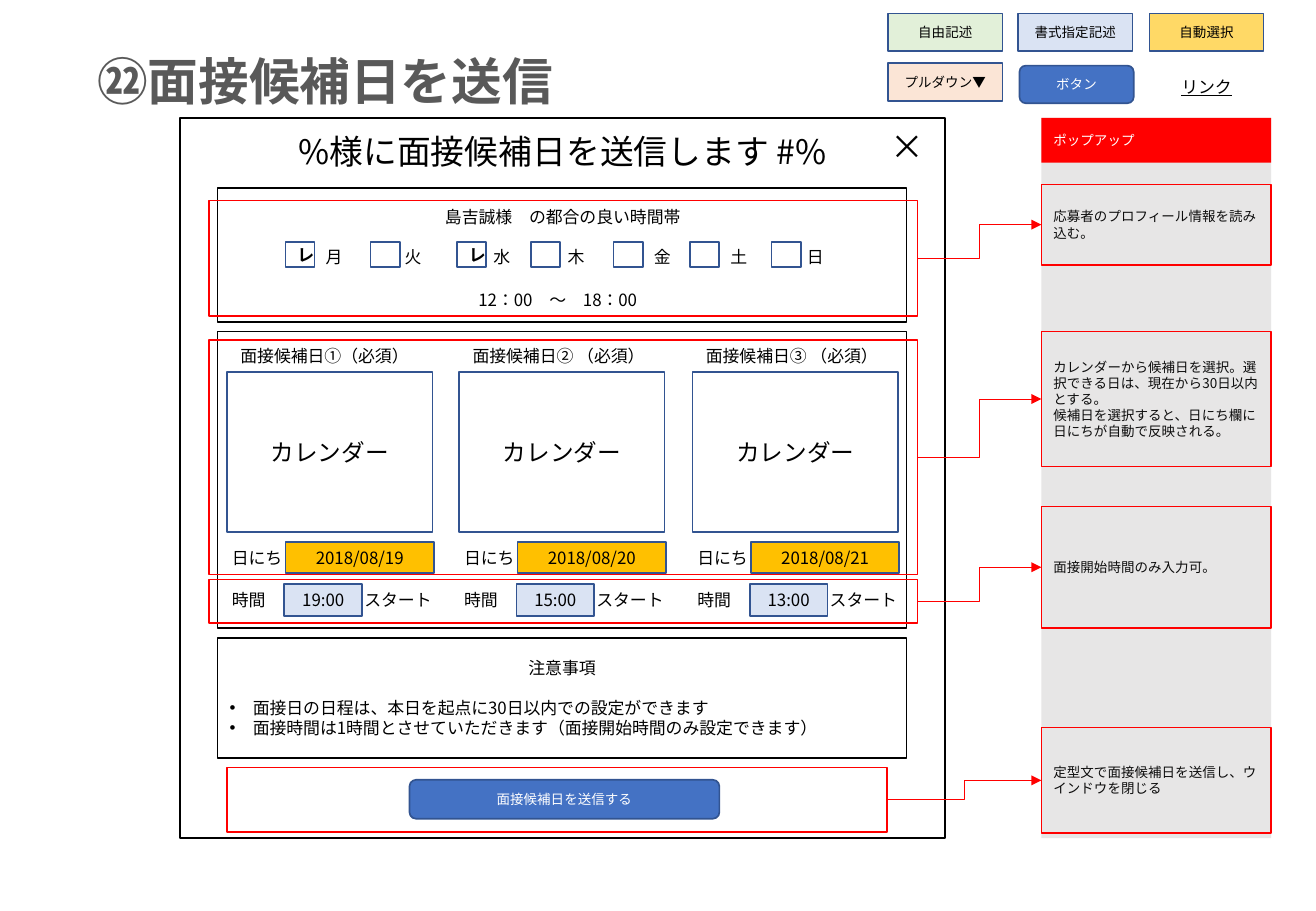
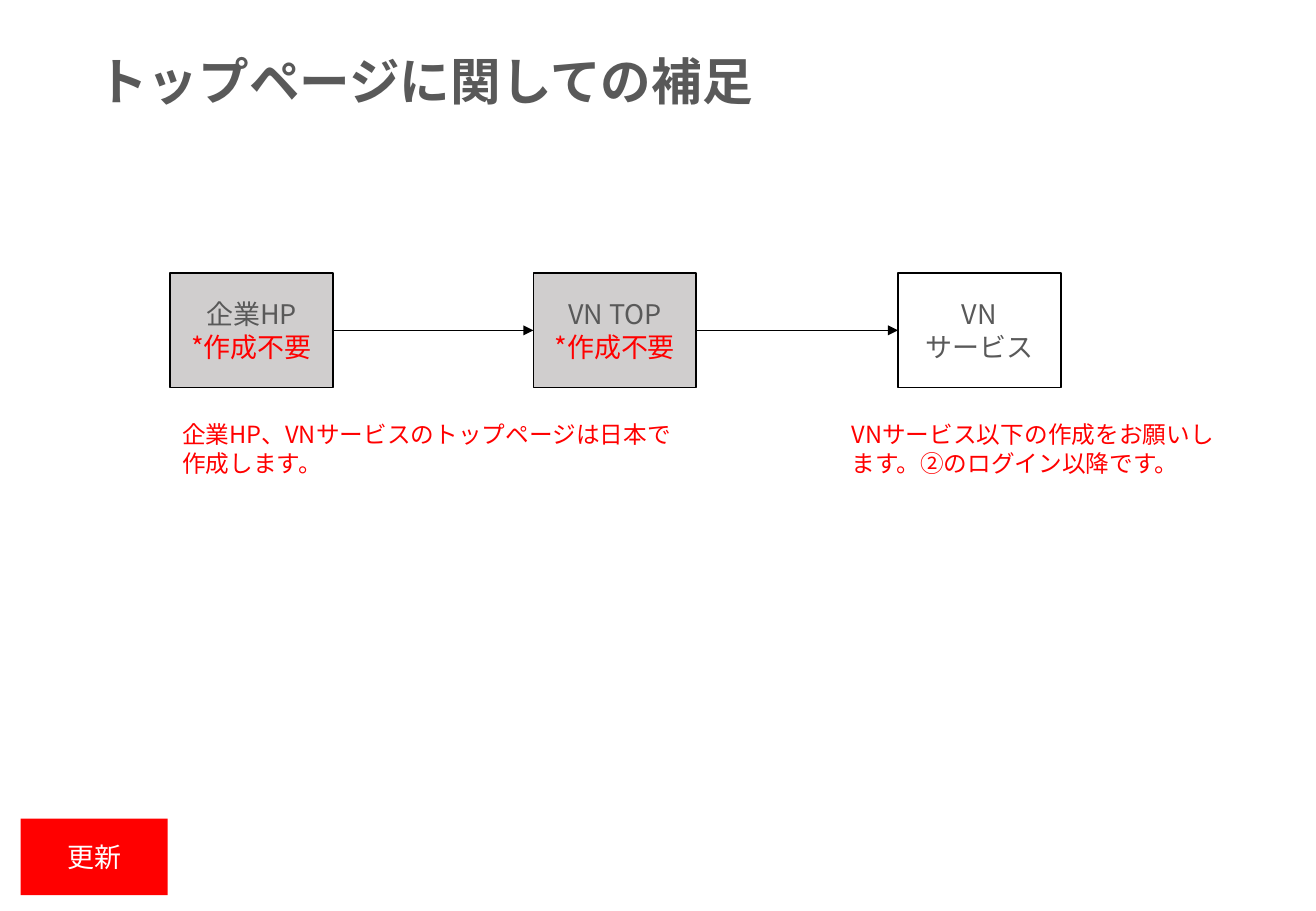
import collections

import pptx
import pptx.dml.color
import pptx.enum.lang
import pptx.enum.shapes
import pptx.enum.text
import pptx.oxml.ns
import pptx.util

FONT = "Noto Sans CJK JP"
PX = pptx.util.Inches(1) // 100
COLORS = {
    "heading": "595959", "black": "000000", "note": "0D0D0D", "white": "FFFFFF",
    "red": "FF0000", "navy": "325491", "blue": "4472C4", "pale_blue": "DAE3F3",
    "green": "E2F0D9", "peach": "FBE5D6", "yellow": "FFD966", "amber": "FFC000",
    "panel": "E7E6E6", "grey": "D0CECE",
}
ALIGN = pptx.enum.text.PP_ALIGN
ANCHOR = pptx.enum.text.MSO_ANCHOR
SHAPE = pptx.enum.shapes.MSO_SHAPE
CONNECTOR = pptx.enum.shapes.MSO_CONNECTOR
qn = pptx.oxml.ns.qn


class Box(collections.namedtuple("Box", "x y w h")):
    def inner(self, dx, dy, w, h):
        """Box of the given size, offset from this box's top left corner."""
        return Box(self.x + dx, self.y + dy, w, h)

    def emu(self):
        return [pptx.util.Emu(length * PX) for length in self]


def rgb(name):
    return pptx.dml.color.RGBColor.from_string(COLORS[name])


def child(parent, tag, **attributes):
    element = parent.makeelement(qn(tag), attributes)
    parent.append(element)
    return element


def write(shape, lines, size, color="black", align=ALIGN.CENTER,
          anchor=ANCHOR.MIDDLE, bold=False, underline=None):
    """Fill a shape with lines, each a text or a (text, color) pair."""
    frame = shape.text_frame
    frame.word_wrap = True
    frame.auto_size = pptx.enum.text.MSO_AUTO_SIZE.NONE
    frame.vertical_anchor = anchor
    for index, line in enumerate(lines):
        text, tint = line if isinstance(line, tuple) else (line, color)
        paragraph = frame.paragraphs[0] if index == 0 else frame.add_paragraph()
        paragraph.alignment = align
        paragraph.line_spacing = pptx.util.Pt(size * 1.2)
        paragraph.space_before = pptx.util.Pt(0)
        run = paragraph.add_run()
        run.text = text
        font = run.font
        font.size = pptx.util.Pt(size)
        font.bold = bold
        font.underline = underline
        font.color.rgb = rgb(tint)
        font.name = FONT
        font.language_id = pptx.enum.lang.MSO_LANGUAGE_ID.JAPANESE
        child(run.font._element, "a:ea", typeface=FONT)
    return frame.paragraphs


def add_box(slide, box, fill=None, line=None, kind=SHAPE.RECTANGLE):
    shape = slide.shapes.add_shape(kind, *box.emu())
    shape.shadow.inherit = False
    if fill:
        shape.fill.solid()
        shape.fill.fore_color.rgb = rgb(fill)
    else:
        shape.fill.background()
    if line:
        shape.line.color.rgb = rgb(line)
        shape.line.width = pptx.util.Pt(1)
    else:
        shape.line.fill.background()
    return shape


def add_label(slide, box, text, size=10, color="black", align=ALIGN.LEFT,
              anchor=ANCHOR.TOP, underline=None):
    write(slide.shapes.add_textbox(*box.emu()), [text], size, color, align,
          anchor, underline=underline)


def add_field(slide, box, text, fill=None, size=10, bold=False):
    write(add_box(slide, box, fill, "navy"), [text], size, bold=bold)


def add_button(slide, box, text):
    button = add_box(slide, box, "blue", "navy", SHAPE.ROUNDED_RECTANGLE)
    write(button, [text], 8, "white")


def add_arrow(slide, source, target, color, kind):
    """Arrow from the right side of source to the left side of target."""
    arrow = slide.shapes.add_connector(kind, 0, 0, 0, 0)
    arrow.begin_connect(source, 3)
    arrow.end_connect(target, 1)
    arrow.line.color.rgb = rgb(color)
    arrow.line.width = pptx.util.Pt(0.5)
    properties = arrow._element.spPr
    child(properties.find(qn("a:ln")), "a:tailEnd", type="triangle")
    child(properties, "a:effectLst")


def place(shape, box):
    shape.left, shape.top, shape.width, shape.height = box.emu()


def add_titled_slide(deck, layout, title):
    slide = deck.slides.add_slide(deck.slide_layouts[layout])
    place(slide.shapes.title, Box(70, 36, 939, 61))
    write(slide.shapes.title, [title], 30, "heading", ALIGN.LEFT, ANCHOR.TOP, True)
    return slide


def add_legend(slide, box):
    fields = [("自由記述", "green", 0, 0), ("書式指定記述", "pale_blue", 1, 0),
              ("自動選択", "yellow", 2, 0), ("プルダウン▼", "peach", 0, 1)]
    for text, fill, column, row in fields:
        add_field(slide, box.inner(column * 215 // 2, row * 41, 94, 31), text, fill, 8)
    add_button(slide, box.inner(108, 43, 94, 31), "ボタン")
    add_label(slide, box.inner(215, 47, 94, 27), "リンク",
              align=ALIGN.CENTER, underline=True)


def add_availability(slide, box):
    add_box(slide, box, line="black")
    add_label(slide, box.inner(48, 10, 472, 27), "島吉誠様　の都合の良い時間帯",
              align=ALIGN.CENTER)
    days = [("月", 56, 69, True), ("火", 126, 134, False), ("水", 197, 207, True),
            ("木", 258, 268, False), ("金", 326, 339, False),
            ("土", 389, 402, False), ("日", 456, 465, False)]
    for day, check_x, day_x, checked in days:
        check = add_box(slide, box.inner(check_x, 44, 24, 21), line="navy")
        if checked:
            write(check, ["レ"], 10, bold=True)
        add_label(slide, box.inner(day_x, 43, 54, 27), day, align=ALIGN.CENTER)
    add_label(slide, box.inner(170, 76, 220, 31), "12：00　～　18：00",
              align=ALIGN.CENTER, anchor=ANCHOR.MIDDLE)


def add_candidate(slide, box, heading, date, time):
    add_label(slide, box.inner(1, 0, 169, 27), heading)
    add_field(slide, box.inner(0, 26, 169, 132), "カレンダー", size=14)
    add_label(slide, box.inner(-6, 166, 95, 27), "日にち")
    add_field(slide, box.inner(48, 166, 122, 26), date, "amber")
    add_label(slide, box.inner(-6, 201, 62, 27), "時間")
    add_field(slide, box.inner(47, 201, 64, 26), time, "pale_blue")
    add_label(slide, box.inner(103, 201, 87, 27), "スタート")


def add_candidates(slide, box):
    add_box(slide, box, line="black")
    candidates = [("面接候補日①（必須）", "2018/08/19", "19:00"),
                  ("面接候補日② （必須）", "2018/08/20", "15:00"),
                  ("面接候補日③ （必須）", "2018/08/21", "13:00")]
    for index, candidate in enumerate(candidates):
        add_candidate(slide, box.inner(8 + index * 383 // 2, 7, 169, 227), *candidate)


def fill_cautions(slide, box):
    cautions = slide.placeholders[1]
    place(cautions, box)
    cautions.line.color.rgb = rgb("black")
    cautions.line.width = pptx.util.Pt(1)
    heading, *rules = write(cautions, [
        "注意事項",
        "面接日の日程は、本日を起点に30日以内での設定ができます",
        "面接時間は1時間とさせていただきます（面接開始時間のみ設定できます）",
    ], 10, align=ALIGN.LEFT)
    heading.alignment = ALIGN.CENTER
    rules[0].space_before = pptx.util.Pt(12)
    for paragraph in (heading, *rules):
        indent = 0 if paragraph is heading else 19 * PX
        properties = paragraph._p.get_or_add_pPr()
        properties.set("marL", str(indent))
        properties.set("indent", str(-indent))
        if indent:
            child(properties, "a:buFont", typeface="Arial")
            child(properties, "a:buChar", char="•")
        else:
            child(properties, "a:buNone")


def add_window(slide, box):
    add_box(slide, box, line="black")
    add_label(slide, box.inner(0, 6, 630, 44), "%様に面接候補日を送信します #%", 20,
              align=ALIGN.CENTER)
    add_label(slide, box.inner(567, 2, 63, 44), "×", 20, align=ALIGN.CENTER)
    add_availability(slide, box.inner(31, 58, 567, 110))
    add_candidates(slide, box.inner(31, 176, 567, 244))
    fill_cautions(slide, box.inner(31, 428, 567, 99))
    add_button(slide, box.inner(189, 545, 255, 32), "面接候補日を送信する")


def add_callouts(slide, window, panel):
    """Side panel of notes, each linked to a framed part of the window."""
    add_box(slide, panel, "panel")
    write(add_box(slide, panel.inner(0, 0, panel.w, 37), "red"), ["ポップアップ"], 8,
          "white", ALIGN.LEFT)
    callouts = [
        ((24, 68, 583, 95), (55, 66), ["応募者のプロフィール情報を読み込む。"]),
        ((24, 183, 583, 193), (176, 111),
         ["カレンダーから候補日を選択。選択できる日は、現在から30日以内とする。",
          "候補日を選択すると、日にち欄に日にちが自動で反映される。"]),
        ((24, 380, 583, 36), (320, 100), ["面接開始時間のみ入力可。"]),
        ((39, 535, 543, 53), (502, 87),
         ["定型文で面接候補日を送信し、ウインドウを閉じる"]),
    ]
    for framed, (top, height), lines in callouts:
        frame = add_box(slide, window.inner(*framed), line="red")
        note = add_box(slide, panel.inner(0, top, panel.w, height), line="red")
        write(note, lines, 8, "note", ALIGN.LEFT)
        add_arrow(slide, frame, note, "red", CONNECTOR.ELBOW)


def add_site_flow(slide, box):
    unneeded = ("*作成不要", "red")
    pages = [("grey", ["企業HP", unneeded]), ("grey", ["VN TOP", unneeded]),
             (None, ["VN", "サービス"])]
    previous = None
    for index, (fill, lines) in enumerate(pages):
        page = add_box(slide, box.inner(index * 599 // 2, 0, 134, 94), fill, "black")
        write(page, lines, 16, "heading")
        if previous:
            add_arrow(slide, previous, page, "black", CONNECTOR.STRAIGHT)
        previous = page
    remarks = [(0, 433, "企業HP、VNサービスのトップページは日本で作成します。"),
               (551, 323, "VNサービス以下の作成をお願いします。②のログイン以降です。")]
    for x, width, text in remarks:
        add_label(slide, box.inner(x, 116, width, 57), text, 14, "red")


def build_send_dates_slide(deck):
    slide = add_titled_slide(deck, 1, "㉒面接候補日を送信")
    window = Box(148, 97, 630, 593)
    add_legend(slide, Box(731, 11, 309, 74))
    add_window(slide, window)
    add_callouts(slide, window, Box(857, 97, 189, 593))


def build_top_page_slide(deck):
    slide = add_titled_slide(deck, 5, "トップページに関しての補足")
    add_site_flow(slide, Box(140, 225, 733, 173))
    write(add_box(slide, Box(17, 674, 121, 63), "red"), ["更新"], 16, "white")


def main():
    deck = pptx.Presentation()
    deck.slide_width, deck.slide_height = Box(0, 0, 1083, 750).emu()[2:]
    build_send_dates_slide(deck)
    build_top_page_slide(deck)
    deck.save("out.pptx")


if __name__ == "__main__":
    main()
